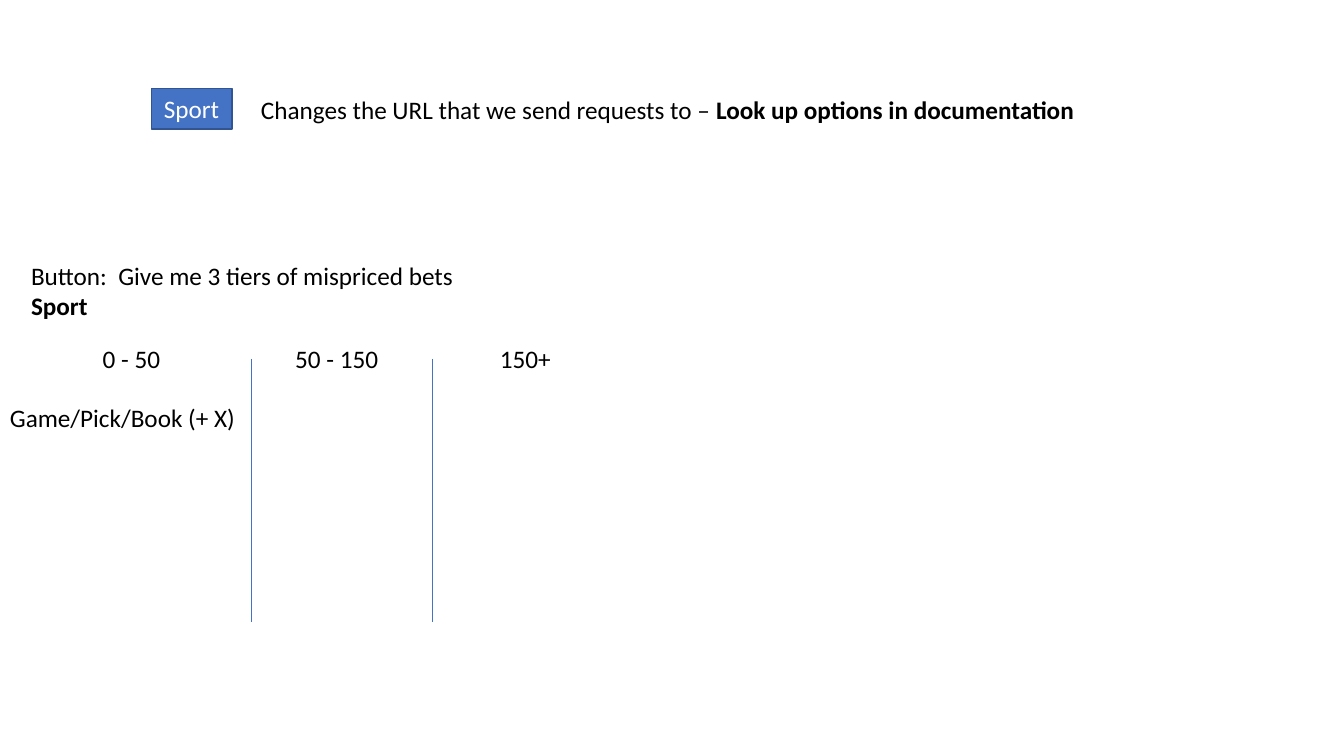
import pptx
import pptx.util
import pptx.dml.color
import pptx.enum.shapes
import pptx.enum.text
from lxml import etree
from pptx.util import Inches

BLACK, WHITE, BLUE, NAVY = "000000", "FFFFFF", "4472C4", "325491"

button = ("Sport", 1.5, 0.88, 0.8, 0.4)
notes = [
    (2.49, 0.89, 8.36, 0.4, [[("Changes the URL that we send requests to – ", False),
                              ("Look up options in documentation", True)]]),
    (0.21, 2.53, 4.5, 0.71, [[("Button:  Give me 3 tiers of mispriced bets", False)],
                             [("Sport", True)]]),
    (0, 3.94, 2.46, 0.4, [[("Game/Pick/Book (+ X)", False)]]),
]
tiers = [("0 - 50", 0.92, 0.78), ("50 - 150", 2.83, 1.03), ("150+", 4.86, 0.71)]
tier_top, tier_height = 3.36, 0.4
dividers = [2.49, 4.29]
divider_top, divider_bottom = 3.56, 6.17


def rgb(color):
    return pptx.dml.color.RGBColor.from_string(color)


def style(p, color):
    p.font.name = "Calibri"
    p.font.size = pptx.util.Pt(18)
    p.font.color.rgb = rgb(color)


def outline(shape, color, width):
    shape.line.color.rgb = rgb(color)
    shape.line.width = pptx.util.Pt(width)


def add_text(s, left, top, width, height, paragraphs):
    box = s.shapes.add_textbox(*map(Inches, (left, top, width, height)))
    tf = box.text_frame
    tf.word_wrap = False
    tf.auto_size = pptx.enum.text.MSO_AUTO_SIZE.SHAPE_TO_FIT_TEXT
    for i, runs in enumerate(paragraphs):
        p = tf.add_paragraph() if i else tf.paragraphs[0]
        style(p, BLACK)
        for text, bold in runs:
            r = p.add_run()
            r.text = text
            r.font.bold = bold


def add_button(s, text, *frame):
    sp = s.shapes.add_shape(pptx.enum.shapes.MSO_SHAPE.RECTANGLE, *map(Inches, frame))
    sp.shadow.inherit = False
    sp.fill.solid()
    sp.fill.fore_color.rgb = rgb(BLUE)
    outline(sp, NAVY, 1)
    sp.text_frame.vertical_anchor = pptx.enum.text.MSO_ANCHOR.MIDDLE
    p = sp.text_frame.paragraphs[0]
    p.text = text
    p.alignment = pptx.enum.text.PP_ALIGN.CENTER
    style(p, WHITE)


def add_divider(s, x):
    line = s.shapes.add_connector(
        pptx.enum.shapes.MSO_CONNECTOR.STRAIGHT,
        *map(Inches, (x, divider_top, x, divider_bottom)))
    outline(line, BLUE, 0.5)
    etree.SubElement(line._element.spPr, pptx.oxml.ns.qn("a:effectLst"))


prs = pptx.Presentation()
prs.slide_width, prs.slide_height = Inches(13.33), Inches(7.5)
s = prs.slides.add_slide(prs.slide_layouts[6])

add_button(s, *button)
for note in notes:
    add_text(s, *note)
for x in dividers:
    add_divider(s, x)
for label, left, width in tiers:
    add_text(s, left, tier_top, width, tier_height, [[(label, False)]])

prs.save("out.pptx")
